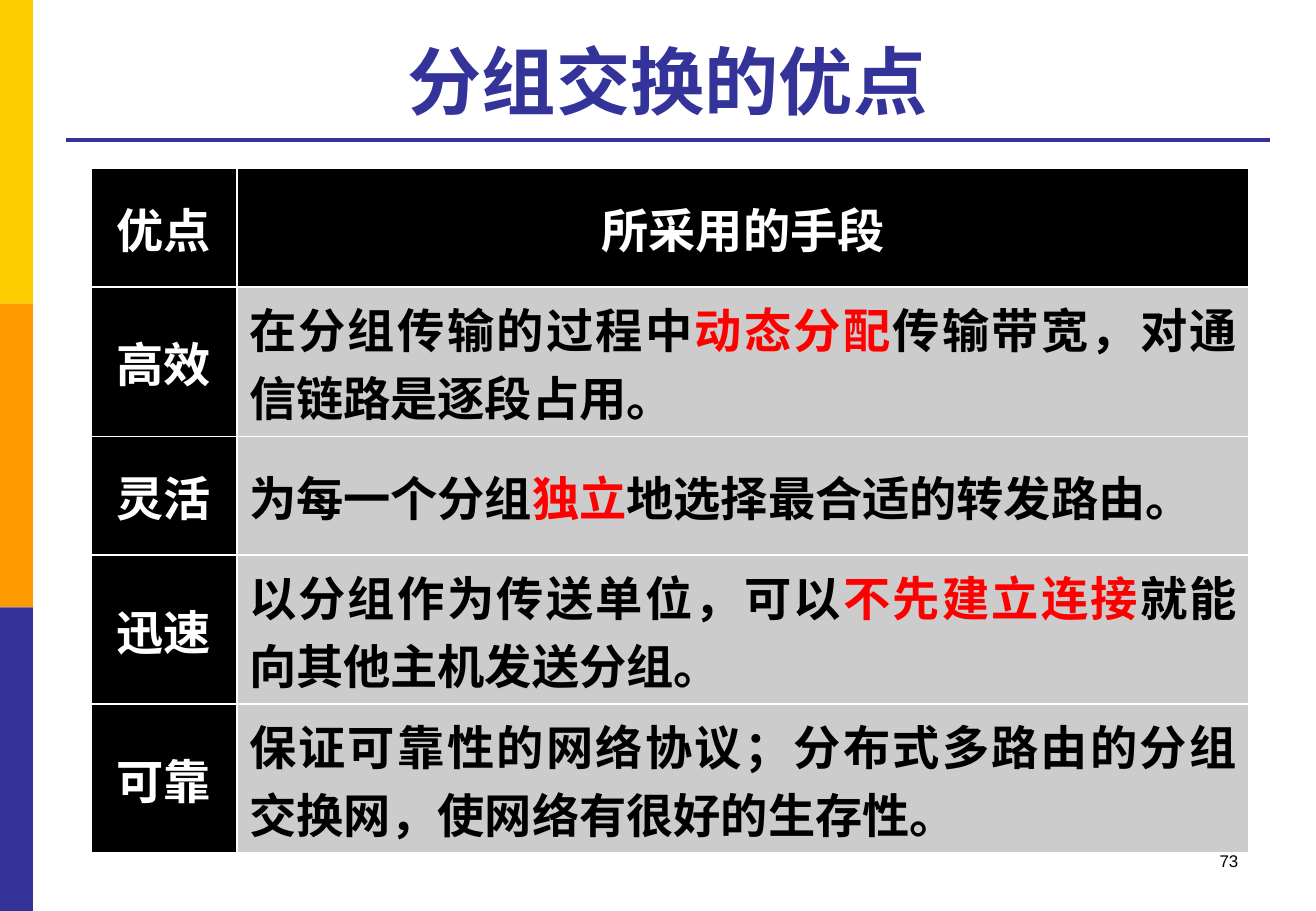
from dataclasses import dataclass

from lxml import etree
from pptx import Presentation
from pptx import util as u
from pptx.dml.color import RGBColor
from pptx.enum import shapes, text
from pptx.oxml import ns
from pptx.slide import Slide
from pptx.table import _Cell
from pptx.text.text import TextFrame, _Paragraph

SLIDE_WIDTH, SLIDE_HEIGHT = u.Inches(10.83), u.Inches(7.5)
GRID_COLUMNS, GRID_ROWS = 40, 36


@dataclass(frozen=True)
class Theme:
    font: str = "Arial"
    title_size: int = 44
    table_size: int = 28
    number_size: int = 10
    rule_width: float = 2.25
    border_width: float = 1
    white: str = "FFFFFF"
    black: str = "000000"
    gray: str = "CCCCCC"
    red: str = "FF0000"
    blue: str = "333399"
    bands: tuple[str, ...] = ("FFCC00", "FF9900", "333399")


@dataclass(frozen=True)
class Area:
    """A rectangle in grid columns and rows."""
    left: float
    top: float
    width: float
    height: float

    def box(self) -> tuple[int, int, int, int]:
        return columns(self.left), rows(self.top), columns(self.width), rows(self.height)


@dataclass(frozen=True)
class Advantage:
    name: str
    before: str
    key: str = ""
    after: str = ""
    lines: int = 2


THEME = Theme()
TITLE = Area(2, 1.04, 36.6, 4.2)
TABLE = Area(2.77, 6.65, 35.2, 27.07)
PAGE_NUMBER = Area(28.66, 33.36, 9.34, 2.4)
RULE_ROW, RULE_END = 5.52, 38.61
NAME_COLUMN = 4.43
ROW_HEIGHTS = {1: 4.7, 2: 5.89}  # by number of text lines
HEADINGS = ("优点", "所采用的手段")
ADVANTAGES = (
    Advantage("高效", "在分组传输的过程中", "动态分配", "传输带宽，对通信链路是逐段占用。"),
    Advantage("灵活", "为每一个分组", "独立", "地选择最合适的转发路由。", lines=1),
    Advantage("迅速", "以分组作为传送单位，可以", "不先建立连接", "就能向其他主机发送分组。"),
    Advantage("可靠", "保证可靠性的网络协议；分布式多路由的分组交换网，使网络有很好的生存性。"),
)


def columns(count: float) -> int:
    return round(SLIDE_WIDTH * count / GRID_COLUMNS)


def rows(count: float) -> int:
    return round(SLIDE_HEIGHT * count / GRID_ROWS)


def rgb(color: str) -> RGBColor:
    return RGBColor.from_string(color)


def style(paragraph: _Paragraph, size: int, color: str, bold: bool,
          alignment: text.PP_ALIGN) -> None:
    paragraph.alignment = alignment
    font = paragraph.font
    font.name, font.size, font.bold = THEME.font, u.Pt(size), bold
    font.color.rgb = rgb(color)


def add_text(slide: Slide, area: Area, words: str) -> TextFrame:
    frame = slide.shapes.add_textbox(*area.box()).text_frame
    frame.word_wrap = True
    frame.text = words
    return frame


def add_sidebar(slide: Slide) -> None:
    height = GRID_ROWS / len(THEME.bands)
    for index, color in enumerate(THEME.bands):
        band = slide.shapes.add_shape(shapes.MSO_SHAPE.RECTANGLE,
                                      *Area(0, index * height, 1, height).box())
        band.shadow.inherit = False
        band.fill.solid()
        band.fill.fore_color.rgb = rgb(color)
        band.line.fill.background()


def add_title(slide: Slide) -> None:
    frame = add_text(slide, TITLE, "分组交换的优点")
    frame.vertical_anchor = text.MSO_ANCHOR.MIDDLE
    style(frame.paragraphs[0], THEME.title_size, THEME.blue, True, text.PP_ALIGN.CENTER)
    rule = slide.shapes.add_connector(shapes.MSO_CONNECTOR.STRAIGHT, columns(TITLE.left),
                                      rows(RULE_ROW), columns(RULE_END), rows(RULE_ROW))
    rule.line.color.rgb = rgb(THEME.blue)
    rule.line.width = u.Pt(THEME.rule_width)
    etree.SubElement(rule._element.spPr, ns.qn("a:effectLst"))


def set_borders(cell: _Cell) -> None:
    properties = cell._tc.get_or_add_tcPr()
    for index, side in enumerate(("lnL", "lnR", "lnT", "lnB")):
        border = etree.Element(ns.qn(f"a:{side}"), w=str(u.Pt(THEME.border_width)))
        fill = etree.SubElement(border, ns.qn("a:solidFill"))
        etree.SubElement(fill, ns.qn("a:srgbClr"), val=THEME.white)
        properties.insert(index, border)


def fill_cell(cell: _Cell, fill: str, color: str, alignment: text.PP_ALIGN,
              before: str, key: str = "", after: str = "") -> None:
    """Write one bold paragraph, with the key words in red."""
    cell.fill.solid()
    cell.fill.fore_color.rgb = rgb(fill)
    cell.vertical_anchor = text.MSO_ANCHOR.MIDDLE
    set_borders(cell)
    paragraph = cell.text_frame.paragraphs[0]
    style(paragraph, THEME.table_size, color, True, alignment)
    for words in filter(None, (before, key, after)):
        run = paragraph.add_run()
        run.text = words
        if words == key:
            run.font.color.rgb = rgb(THEME.red)


def add_advantages(slide: Slide) -> None:
    table = slide.shapes.add_table(len(ADVANTAGES) + 1, 2, *TABLE.box()).table
    table.columns[0].width = columns(NAME_COLUMN)
    table.columns[1].width = columns(TABLE.width - NAME_COLUMN)
    table.rows[0].height = rows(ROW_HEIGHTS[1])
    center, justify = text.PP_ALIGN.CENTER, text.PP_ALIGN.JUSTIFY
    for column, heading in enumerate(HEADINGS):
        fill_cell(table.cell(0, column), THEME.black, THEME.white, center, heading)
    for row, item in enumerate(ADVANTAGES, start=1):
        table.rows[row].height = rows(ROW_HEIGHTS[item.lines])
        fill_cell(table.cell(row, 0), THEME.black, THEME.white, center, item.name)
        fill_cell(table.cell(row, 1), THEME.gray, THEME.black, justify,
                  item.before, item.key, item.after)


def add_page_number(slide: Slide) -> None:
    frame = add_text(slide, PAGE_NUMBER, "73")
    style(frame.paragraphs[0], THEME.number_size, THEME.black, False, text.PP_ALIGN.RIGHT)


def main() -> None:
    presentation = Presentation()
    presentation.slide_width, presentation.slide_height = SLIDE_WIDTH, SLIDE_HEIGHT
    slide = presentation.slides.add_slide(presentation.slide_layouts[6])
    add_sidebar(slide)
    add_title(slide)
    add_advantages(slide)
    add_page_number(slide)
    presentation.save("out.pptx")


if __name__ == "__main__":
    main()
